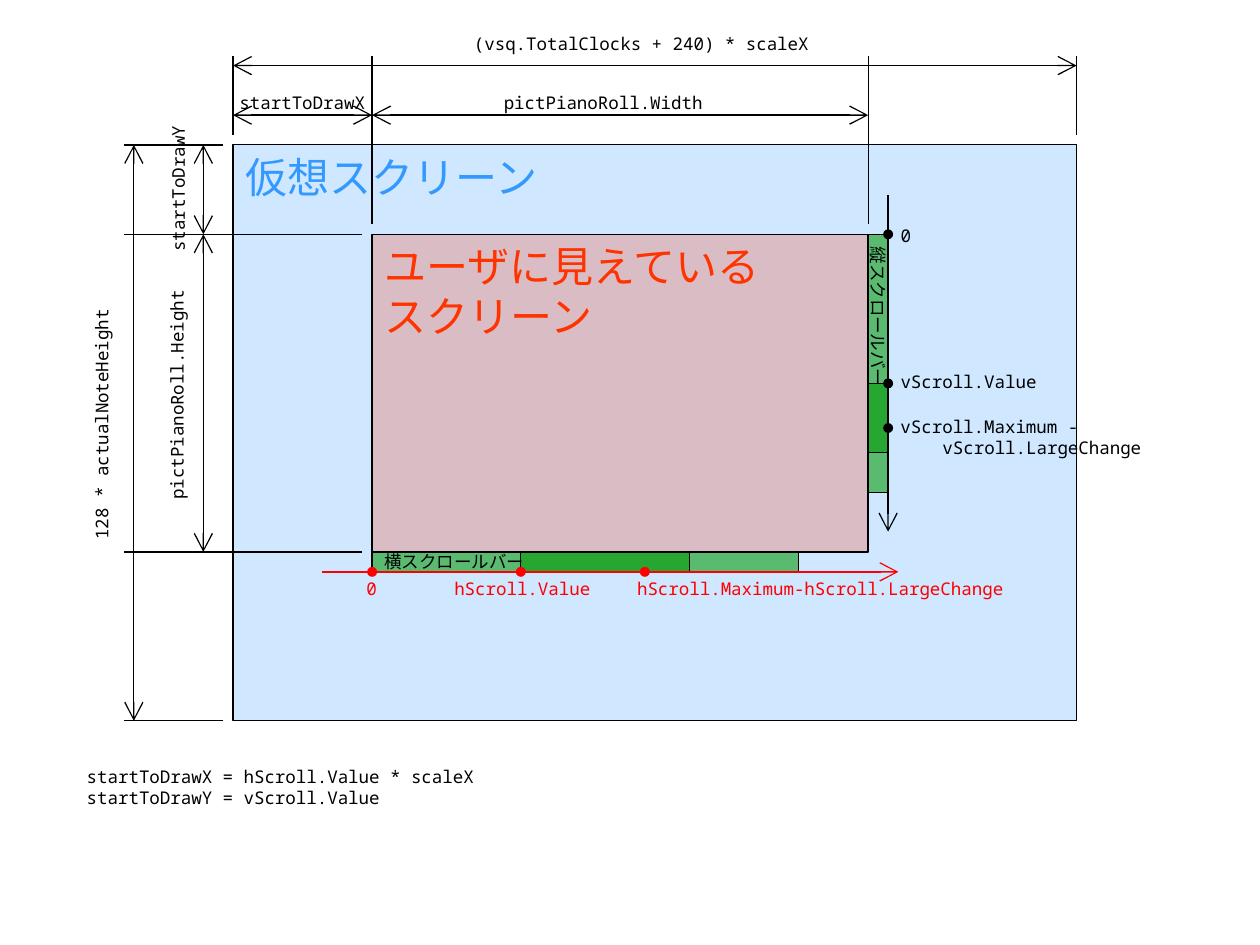
from dataclasses import dataclass
from lxml.etree import SubElement
from pptx import Presentation
from pptx.dml.color import RGBColor
from pptx.enum.shapes import MSO_CONNECTOR as Link, MSO_SHAPE as Kind
from pptx.enum.text import MSO_ANCHOR as Anchor, MSO_AUTO_SIZE as Fit, PP_ALIGN as Align
from pptx.oxml.ns import qn
from pptx.util import Pt

BLACK, RED, BLUE, ORANGE, GREEN = "000000", "FF0000", "3399FF", "FF3300", "009900"
MONO, SERIF = "Noto Sans Mono", "Times New Roman"

# Edges of the virtual screen and of the visible view, in points
LEFT, TOP, RIGHT, BASE = 133.2, 82.8, 615.2, 411.9
V_LEFT, V_TOP, V_RIGHT, V_BASE = 212.6, 133.9, 496.1, 315.4
BAR = 11.4
H_AXIS, V_AXIS = V_BASE + BAR, V_RIGHT + BAR
DOT = 5.7
LINE_H = 19.2


@dataclass
class Box:
    x: float
    y: float
    w: float
    h: float
    color: str
    alpha: int
    text: str = ""
    size: int = 10
    anchor: Anchor = Anchor.TOP
    turned: bool = False


@dataclass
class Line:
    x1: float
    y1: float
    x2: float
    y2: float
    ends: tuple = ()
    color: str = BLACK


@dataclass
class Label:
    text: str
    x: float
    y: float
    w: float
    h: float = LINE_H
    color: str = BLACK
    turn: int = 0
    wrap: bool = False
    indent: int = 0


def rgb(code: str) -> RGBColor:
    return RGBColor.from_string(code)


def assign(item, values: dict) -> None:
    for name, value in values.items():
        setattr(item, name, value)


def write(frame, text: str, font: str, size: int, color: str, style: dict) -> None:
    assign(frame, style)
    frame.text = text
    for para in frame.paragraphs:
        para.alignment = Align.LEFT
        assign(para.font, {"name": font, "size": Pt(size)})
        para.font.color.rgb = rgb(color)


def draw_box(slide, box: Box) -> None:
    """Draw a see-through box; a turned one is a bar lying on its side."""
    x, y, w, h = box.x, box.y, box.w, box.h
    if box.turned:
        x, y, w, h = x + (w - h) / 2, y + (h - w) / 2, h, w
    shape = slide.shapes.add_shape(Kind.RECTANGLE, Pt(x), Pt(y), Pt(w), Pt(h))
    shape.shadow.inherit = False
    shape.rotation = 270 if box.turned else 0
    shape.fill.solid()
    shape.fill.fore_color.rgb = rgb(box.color)
    tint = shape.element.spPr.find(qn("a:solidFill"))[0]
    SubElement(tint, qn("a:alpha"), val=str(box.alpha * 1000))
    shape.line.color.rgb = rgb(BLACK)
    shape.line.width = Pt(0.75)
    if box.text:
        ink = BLACK if box.color == GREEN else box.color
        write(shape.text_frame, box.text, SERIF, box.size, ink,
              {"word_wrap": False, "vertical_anchor": box.anchor})
        if box.turned:
            shape.element.txBody.bodyPr.set("rot", str(180 * 60000))


def draw_line(slide, line: Line) -> None:
    link = slide.shapes.add_connector(
        Link.STRAIGHT, Pt(line.x1), Pt(line.y1), Pt(line.x2), Pt(line.y2))
    link.line.color.rgb = rgb(line.color)
    link.line.width = Pt(0.75)
    props = link.element.spPr
    for end in line.ends:
        SubElement(props.find(qn("a:ln")), qn(f"a:{end}"), type="arrow", w="lg", len="lg")
    SubElement(props, qn("a:effectLst"))


def draw_label(slide, label: Label) -> None:
    text = slide.shapes.add_textbox(Pt(label.x), Pt(label.y), Pt(label.w), Pt(label.h))
    text.rotation = label.turn
    write(text.text_frame, label.text, MONO, 10, label.color,
          {"word_wrap": label.wrap, "auto_size": Fit.SHAPE_TO_FIT_TEXT})
    if label.indent:
        last = text.text_frame.paragraphs[-1]
        last.element.get_or_add_pPr().set("marL", str(Pt(label.indent))) if hasattr(
            last, "element") else last._p.get_or_add_pPr().set("marL", str(Pt(label.indent)))


def draw_dot(slide, x: float, y: float, color: str) -> None:
    dot = slide.shapes.add_shape(
        Kind.OVAL, Pt(x - DOT / 2), Pt(y - DOT / 2), Pt(DOT), Pt(DOT))
    dot.shadow.inherit = False
    dot.fill.solid()
    dot.fill.fore_color.rgb = rgb(color)
    dot.line.fill.background()


BOTH, TAIL = ("headEnd", "tailEnd"), ("tailEnd",)
KNOB_X, KNOB_Y = 297.6, 219.1

BOXES = [
    Box(LEFT, TOP, RIGHT - LEFT, BASE - TOP, BLUE, 23, "仮想スクリーン", 24),
    Box(V_LEFT, V_TOP, V_RIGHT - V_LEFT, V_BASE - V_TOP, ORANGE, 23,
        "ユーザに見えている\nスクリーン", 24),
    Box(V_LEFT, V_BASE, 243.8, BAR, GREEN, 56, "横スクロールバー", anchor=Anchor.MIDDLE),
    Box(V_RIGHT, V_TOP, BAR, 147.4, GREEN, 56, "縦スクロールバー",
        anchor=Anchor.MIDDLE, turned=True),
    Box(KNOB_X, V_BASE, 96.4, BAR, GREEN, 56),
    Box(V_RIGHT, KNOB_Y, BAR, 39.6, GREEN, 56, turned=True),
]
LINES = [
    *(Line(x, 31.9, x, 77) for x in (LEFT, RIGHT)),
    *(Line(x, 31.9, x, 127.8) for x in (V_LEFT, V_RIGHT)),
    *(Line(70.9, y, 127.6, y) for y in (TOP, BASE)),
    *(Line(70.9, y, 207, y) for y in (V_TOP, V_BASE)),
    Line(LEFT, 37.5, RIGHT, 37.5, BOTH),
    Line(LEFT, 65.8, V_LEFT, 65.8, BOTH),
    Line(V_LEFT, 65.8, V_RIGHT, 65.8, BOTH),
    Line(76.5, TOP, 76.5, BASE, BOTH),
    Line(116.2, TOP, 116.2, V_TOP, BOTH),
    Line(116.2, V_TOP, 116.2, V_BASE, BOTH),
    Line(184.3, H_AXIS, 513.4, H_AXIS, TAIL, RED),
    Line(V_AXIS, 111.6, V_AXIS, 303.8, TAIL),
]
LABELS = [
    Label("(vsq.TotalClocks + 240) * scaleX", 263.7, 15.4, 206),
    Label("startToDrawX", 129.8, 49, 86.4),
    Label("pictPianoRoll.Width", 280.8, 49, 128.2),
    Label("128 * actualNoteHeight", -15.1, 232.6, 146.2, turn=270),
    Label("startToDrawY", 58.5, 98, 86.4, turn=270),
    Label("pictPianoRoll.Height", 34, 216, 134, turn=270),
    Label("0", 202.3, H_AXIS, 20.2, color=RED),
    Label("hScroll.Value", 252.5, H_AXIS, 92.2, color=RED),
    Label("hScroll.Maximum-hScroll.LargeChange", 357, H_AXIS, 224, color=RED),
    Label("0", V_AXIS, 124.8, 20.2),
    Label("vScroll.Value", V_AXIS, 208.2, 92.2),
    Label("vScroll.Maximum -\nvScroll.LargeChange", V_AXIS, 234, 152, 31.4, indent=24),
    Label("startToDrawX = hScroll.Value * scaleX\nstartToDrawY = vScroll.Value",
          42.5, 434.4, 255, 31.4, wrap=True),
]


def main() -> None:
    deck = Presentation()
    assign(deck, {"slide_width": Pt(720), "slide_height": Pt(540)})
    slide = deck.slides.add_slide(deck.slide_layouts[6])
    for box in BOXES:
        draw_box(slide, box)
    for line in LINES:
        draw_line(slide, line)
    for label in LABELS:
        draw_label(slide, label)
    for x in (V_LEFT, KNOB_X, 368.5):
        draw_dot(slide, x, H_AXIS, RED)
    for y in (V_TOP, KNOB_Y, 244.6):
        draw_dot(slide, V_AXIS, y, BLACK)
    deck.save("out.pptx")


if __name__ == "__main__":
    main()
